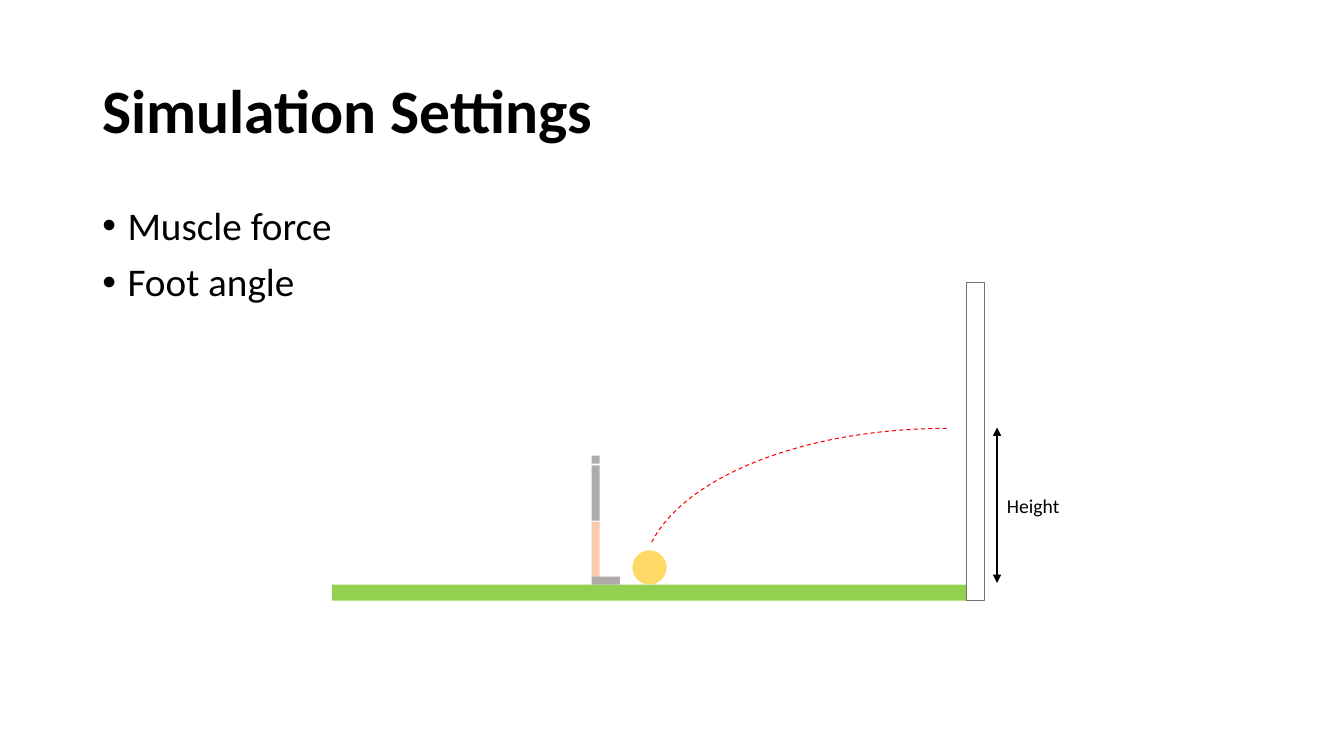
from dataclasses import dataclass
from lxml.etree import SubElement as Sub
from pptx import Presentation
from pptx.dml.color import RGBColor as Rgb
from pptx.enum.dml import MSO_LINE as Dash
from pptx.enum.shapes import MSO_CONNECTOR as Conn, MSO_SHAPE as Kind
from pptx.enum.text import MSO_ANCHOR as Anchor, PP_ALIGN as Align
from pptx.oxml.ns import qn
from pptx.util import Inches, Pt


@dataclass
class Theme:
    font: str = "Calibri"
    ink: str = "000000"
    grass: str = "92D050"
    white: str = "FFFFFF"
    edge: str = "767171"
    skin: str = "F8CBAD"
    gray: str = "AFABAB"
    ball: str = "FFD966"
    path_red: str = "FF0000"
    head: int = 44
    body: int = 28
    note: int = 14


theme = Theme()
deck = Presentation()
deck.slide_width, deck.slide_height = Inches(13.33), Inches(7.5)
slide = deck.slides.add_slide(deck.slide_layouts[5])
shapes = slide.shapes


# The slide is a grid of 160 columns by 90 rows
def grid(*cells):
    units = deck.slide_width / 160, deck.slide_height / 90
    return [round(cell * units[i % 2]) for i, cell in enumerate(cells)]


def style(para, size, bold=False):
    font = para.font
    font.name, font.size, font.bold = theme.font, Pt(size), bold
    font.color.rgb = Rgb.from_string(theme.ink)


# Title
title = shapes.title
title.left, title.top, title.width, title.height = grid(11, 4.8, 138, 17.4)
title.text_frame.text = "Simulation Settings"
title.text_frame.vertical_anchor = Anchor.MIDDLE
para = title.text_frame.paragraphs[0]
para.alignment, para.line_spacing = Align.LEFT, 0.9
style(para, theme.head, True)

# Ground, wall, leg and ball
leg, thick = 70.44, 0.96
parts = [
    (Kind.RECTANGLE, 39.5, 69.6, 75.6, 1.92, theme.grass, None),
    (Kind.RECTANGLE, 115.04, 33.66, 2.16, 37.8, theme.white, theme.edge),
    (Kind.RECTANGLE, leg, 62.1, thick, 6.6, theme.skin, None),
    (Kind.RECTANGLE, leg, 55.4, thick, 6.6, theme.gray, None),
    (Kind.RECTANGLE, leg, 68.64, 3.36, thick, theme.gray, None),
    (Kind.RECTANGLE, leg, 54.24, thick, thick, theme.gray, None),
    (Kind.OVAL, 75.28, 65.52, 4.08, 4.08, theme.ball, None),
]
for kind, left, top, wide, high, fill, edge in parts:
    part = shapes.add_shape(kind, *grid(left, top, wide, high))
    part.shadow.inherit = False
    part.fill.solid()
    part.fill.fore_color.rgb = Rgb.from_string(fill)
    if edge:
        part.line.color.rgb = Rgb.from_string(edge)
        part.line.width = Pt(0.75)
    else:
        part.line.fill.background()

# Flight of the ball
arc = shapes.add_shape(Kind.ARC, *grid(76.46, 51, 72.48, 36))
arc.adjustments[0], arc.adjustments[1] = 162, 211.85
arc.element.spPr.find(qn("a:xfrm")).set("flipH", "1")
arc.shadow.inherit = False
arc.fill.background()
arc.line.color.rgb = Rgb.from_string(theme.path_red)
arc.line.width, arc.line.dash_style = Pt(0.75), Dash.DASH

# Height arrow and its label
side = 118.7
arrow = shapes.add_connector(Conn.STRAIGHT, *grid(side, 50.9, side, 69.4))
arrow.line.color.rgb = Rgb.from_string(theme.ink)
arrow.line.width = Pt(1.5)
for end in ("a:headEnd", "a:tailEnd"):
    Sub(arrow.line._get_or_add_ln(), qn(end), type="triangle")
Sub(arrow.element.spPr, qn("a:effectLst"))

label = shapes.add_textbox(*grid(side, 58.2, 8.76, 4.08)).text_frame
label.word_wrap = False
label.text = "Height"
style(label.paragraphs[0], theme.note)

# Bullet list
frame = shapes.add_textbox(*grid(11, 24, 138, 57.12)).text_frame
frame.word_wrap = True
frame.text = "Muscle force\nFoot angle"
for i, para in enumerate(frame.paragraphs):
    para.line_spacing, para.space_before = 0.9, Pt(10 * min(i, 1))
    props = para._p.get_or_add_pPr()
    props.set("marL", str(Inches(0.25)))
    props.set("indent", str(-Inches(0.25)))
    Sub(props, qn("a:buFont"), typeface="Arial")
    Sub(props, qn("a:buChar"), char="•")
    style(para, theme.body)

deck.save("out.pptx")
